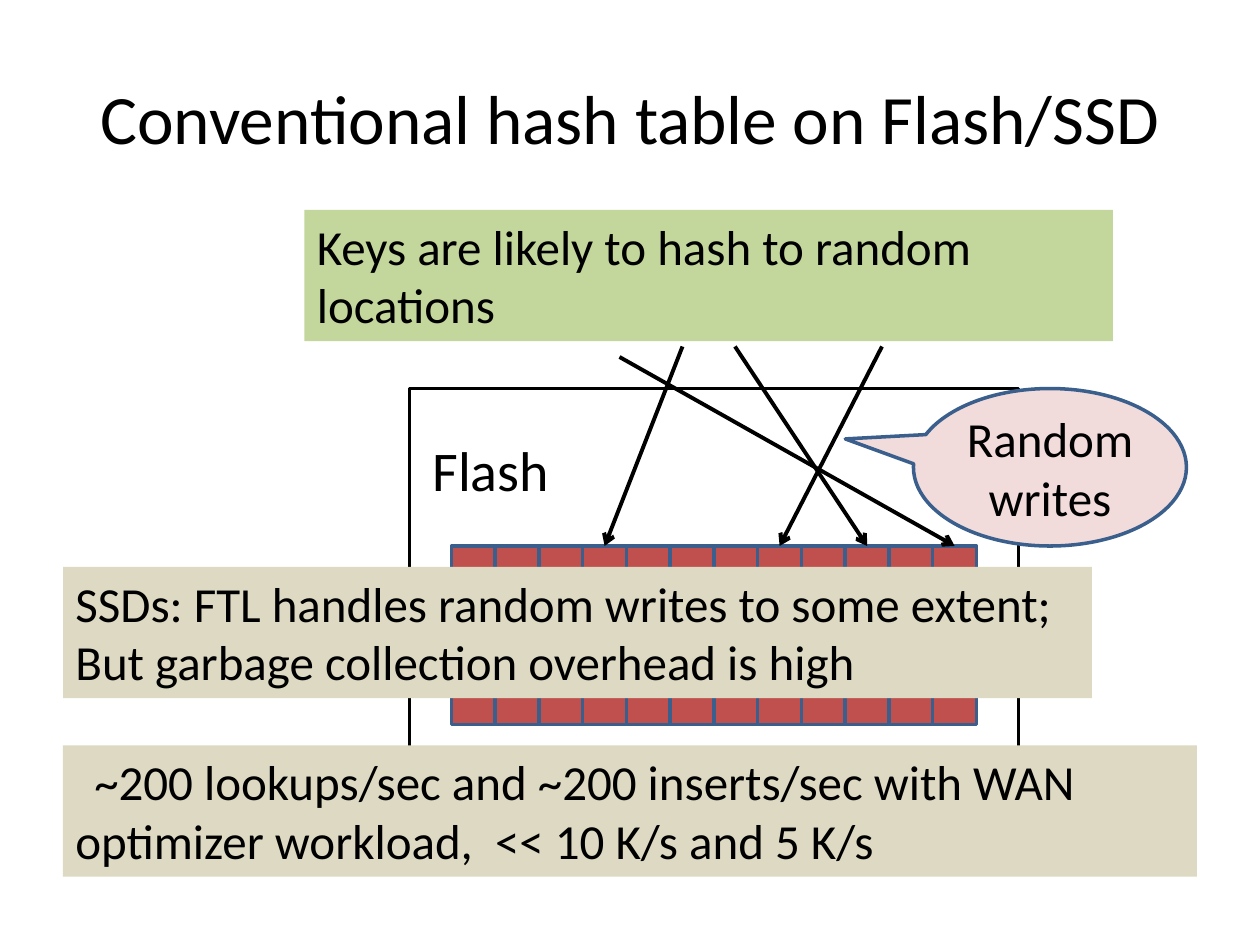
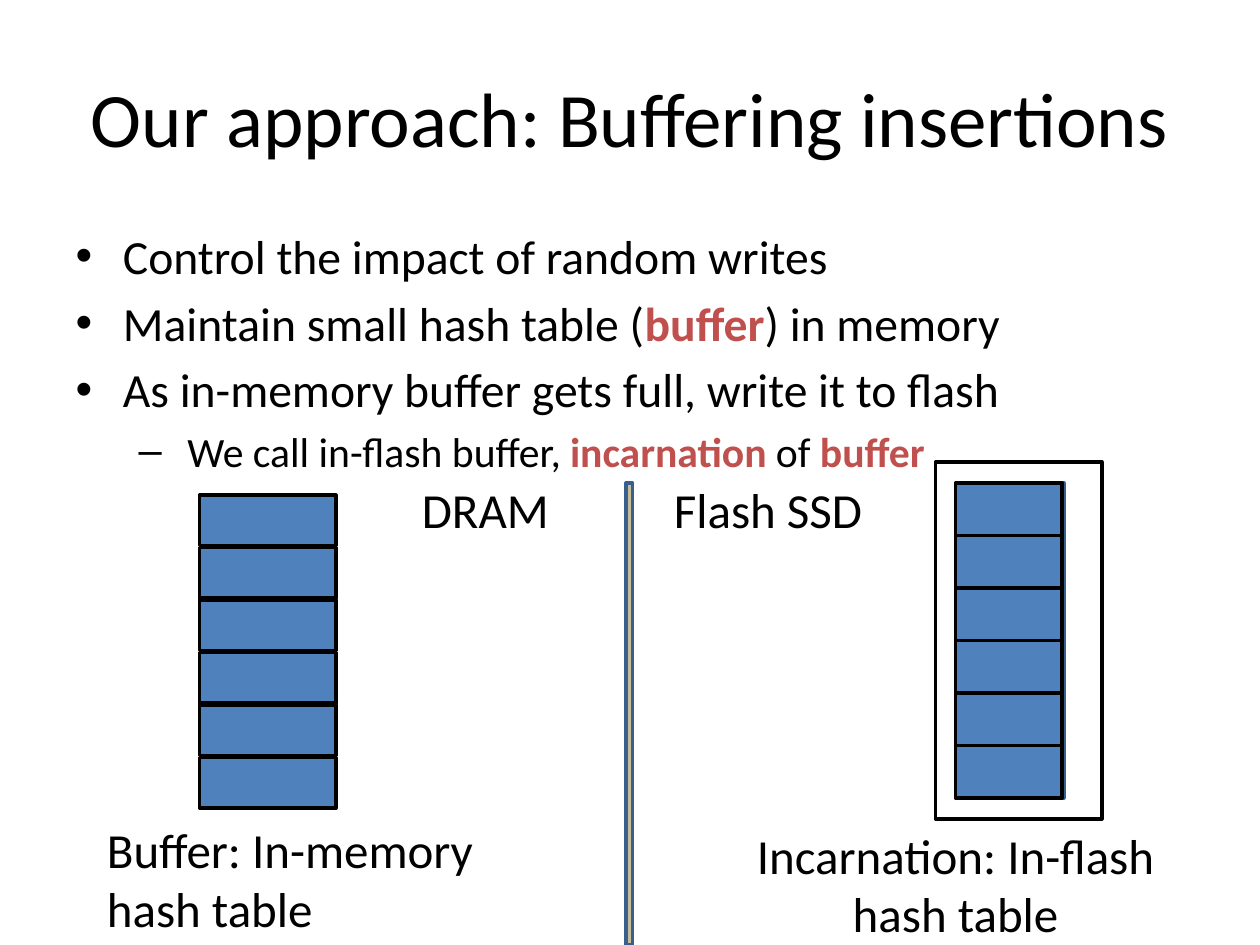
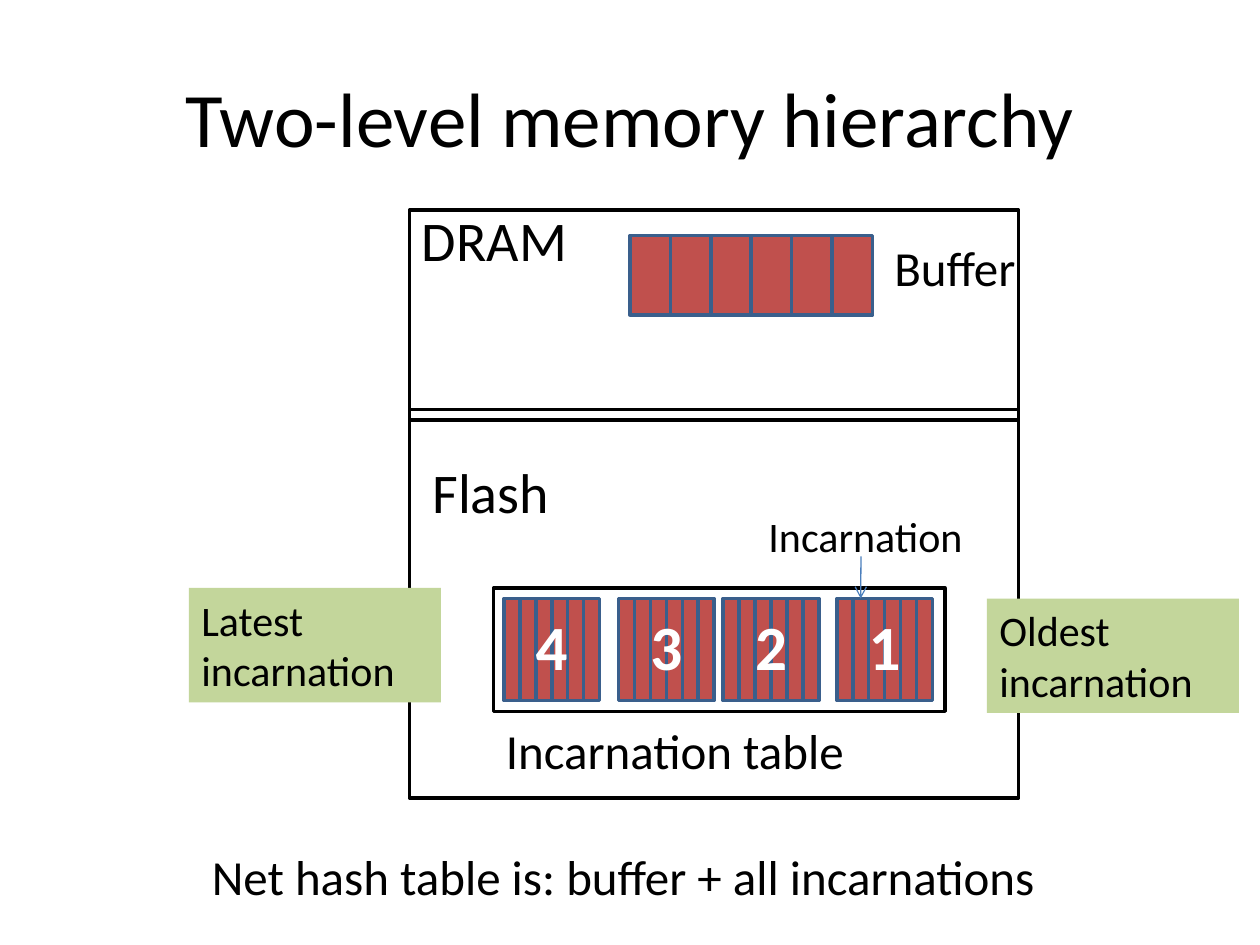
import dataclasses
import typing

import lxml.etree
import pptx
import pptx.dml.color
import pptx.enum.shapes
import pptx.enum.text
import pptx.oxml.ns
import pptx.presentation
import pptx.shapes.autoshape
import pptx.slide
import pptx.text.text
import pptx.util

Pt = pptx.util.Pt
Kind = pptx.enum.shapes.MSO_SHAPE
Align = pptx.enum.text.PP_ALIGN
Anchor = pptx.enum.text.MSO_ANCHOR
Shape = pptx.shapes.autoshape.Shape
Slide = pptx.slide.Slide


@dataclasses.dataclass(frozen=True)
class Theme:
    font: str = "Calibri"
    black: str = "000000"
    white: str = "FFFFFF"
    red: str = "C0504D"
    blue: str = "4F81BD"
    edge: str = "3A5F8C"
    thin: str = "4B7EBC"
    green: str = "C3D69B"
    pink: str = "F2DCDB"
    sand: str = "DDD9C3"
    tan: str = "C4BD97"
    title: float = 44
    long: float = 39.6
    digit: float = 36
    head: float = 32
    text: float = 28
    list: float = 27.2
    note: float = 24
    sub: float = 23.8
    line: float = 2
    arrow: float = 2.25


T = Theme()


class Box(typing.NamedTuple):
    left: float
    top: float
    width: float
    height: float

    def lengths(self) -> list[pptx.util.Length]:
        return [Pt(v) for v in self]


@dataclasses.dataclass(frozen=True)
class Label:
    text: str
    box: Box
    size: float = T.text
    fill: str = ""
    color: str = T.black
    bold: bool = False
    center: bool = False
    middle: bool = False
    indent: float = 0


@dataclasses.dataclass(frozen=True)
class Strip:
    """A row or column of equal cells; box is the first cell."""
    box: Box
    count: int
    step: float
    fill: str = T.red
    line: str = T.edge
    down: bool = False


@dataclasses.dataclass(frozen=True)
class Bullet:
    text: str  # parts between bars are accented
    level: int = 0
    size: float = T.list


def rgb(code: str) -> pptx.dml.color.RGBColor:
    return pptx.dml.color.RGBColor.from_string(code)


def style(run: pptx.text.text._Run, size: float, color: str = T.black,
          bold: bool = False) -> None:
    run.font.name = T.font
    run.font.size = Pt(size)
    run.font.bold = bold
    run.font.color.rgb = rgb(color)


def write(frame: pptx.text.text.TextFrame, label: Label) -> None:
    frame.word_wrap = True
    frame.text = label.text
    frame.vertical_anchor = Anchor.MIDDLE if label.middle else Anchor.TOP
    for para in frame.paragraphs:
        para.alignment = Align.CENTER if label.center else Align.LEFT
        if label.indent:
            para._p.get_or_add_pPr().set("indent", str(Pt(label.indent)))
        for run in para.runs:
            style(run, label.size, label.color, label.bold)


def put(slide: Slide, *labels: Label) -> None:
    for label in labels:
        shape = slide.shapes.add_textbox(*label.box.lengths())
        if label.fill:
            shape.fill.solid()
            shape.fill.fore_color.rgb = rgb(label.fill)
        write(shape.text_frame, label)


def draw(shapes: typing.Any, box: Box, fill: str = "", line: str = T.black,
         kind: Kind = Kind.RECTANGLE) -> Shape:
    shape = shapes.add_shape(kind, *box.lengths())
    shape.shadow.inherit = False
    if fill:
        shape.fill.solid()
        shape.fill.fore_color.rgb = rgb(fill)
    else:
        shape.fill.background()
    shape.line.color.rgb = rgb(line)
    shape.line.width = Pt(T.line)
    return shape


def cells(slide: Slide, strip: Strip) -> list[Shape]:
    group = slide.shapes.add_group_shape()
    made = []
    for i in range(strip.count):
        move = i * strip.step
        left, top, width, height = strip.box
        box = (Box(left, top + move, width, height) if strip.down
               else Box(left + move, top, width, height))
        made.append(draw(group.shapes, box, strip.fill, strip.line))
    return made


def arrow(slide: Slide, left: float, top: float, cell: Shape,
          color: str = T.black, width: float = T.arrow) -> None:
    line = slide.shapes.add_connector(
        pptx.enum.shapes.MSO_CONNECTOR.STRAIGHT,
        Pt(left), Pt(top), Pt(left), Pt(top))
    line.end_connect(cell, 0)
    line.line.color.rgb = rgb(color)
    line.line.width = Pt(width)
    qn = pptx.oxml.ns.qn
    props = line.element.spPr
    lxml.etree.SubElement(props.find(qn("a:ln")), qn("a:tailEnd"), type="arrow")
    lxml.etree.SubElement(props, qn("a:effectLst"))


def start(deck: pptx.presentation.Presentation, title: str,
          size: float = T.title, layout: int = 5) -> Slide:
    slide = deck.slides.add_slide(deck.slide_layouts[layout])
    head = slide.shapes.title
    head.left, head.top, head.width, head.height = Box(36, 21.6, 648, 90).lengths()
    write(head.text_frame, Label(title, Box(36, 21.6, 648, 90), size,
                                 center=True, middle=True))
    head.text_frame.auto_size = pptx.enum.text.MSO_AUTO_SIZE.NONE
    return slide


def fill_list(slide: Slide, box: Box, items: list[Bullet]) -> None:
    body = slide.placeholders[1]
    body.left, body.top, body.width, body.height = box.lengths()
    frame = body.text_frame
    frame.auto_size = pptx.enum.text.MSO_AUTO_SIZE.NONE
    for i, item in enumerate(items):
        para = frame.add_paragraph() if i else frame.paragraphs[0]
        para.level = item.level
        for j, part in enumerate(item.text.split("|")):
            if part:
                run = para.add_run()
                run.text = part
                style(run, item.size, T.red if j % 2 else T.black, bool(j % 2))


def table_slide(deck: pptx.presentation.Presentation) -> None:
    slide = start(deck, "Conventional hash table on Flash/SSD", T.long)
    # Flash store and its slots
    draw(slide.shapes, Box(234, 222, 348, 222))
    put(slide, Label("Flash", Box(240, 245.5, 126, 46), T.head))
    slots = cells(slide, Strip(Box(258, 312, 25, 102), 12, 25))
    # Keys that hash to scattered slots
    for left, top, slot in ((390, 198, 3), (420, 198, 9),
                            (504, 198, 7), (354, 204, 11)):
        arrow(slide, left, top, slots[slot])
    put(slide, Label("Keys are likely to hash to random locations",
                     Box(174, 120, 462, 75), fill=T.green))
    # Callout
    box = Box(522, 222, 156, 90)
    call = draw(slide.shapes, box, T.pink, T.edge, Kind.OVAL_CALLOUT)
    call.adjustments[0], call.adjustments[1] = -0.75, -0.18
    write(call.text_frame, Label("Random writes", box, center=True, middle=True))
    # Findings
    put(slide,
        Label("SSDs: FTL handles random writes to some extent;\v"
              "But garbage collection overhead is high",
              Box(36, 324, 588, 75), fill=T.sand),
        Label("~200 lookups/sec and ~200 inserts/sec with WAN optimizer "
              "workload,  << 10 K/s and 5 K/s",
              Box(36, 426, 648, 75), fill=T.sand, indent=10.8))


def buffer_slide(deck: pptx.presentation.Presentation) -> None:
    slide = start(deck, "Our approach: Buffering insertions", layout=1)
    fill_list(slide, Box(36, 126, 666, 138), [
        Bullet("Control the impact of random writes"),
        Bullet("Maintain small hash table (|buffer|) in memory"),
        Bullet("As in-memory buffer gets full, write it to flash"),
        Bullet(" We call in-flash buffer, |incarnation |of| buffer|", 1, T.sub),
    ])
    # Flash side, then memory side
    draw(slide.shapes, Box(534.6, 264, 95, 204))
    for strip in (
            Strip(Box(547, 276, 61, 30), 6, 30, down=True),
            Strip(Box(546, 276, 61, 30), 6, 30, T.blue, T.black, True),
            Strip(Box(114, 283, 78, 28.8), 6, 30, T.blue, T.black, True)):
        cells(slide, strip)
    # Divider and labels
    draw(slide.shapes, Box(357.8, 276, 3.6, 264), T.tan, T.edge)
    put(slide,
        Label("Incarnation: In-flash hash table", Box(408, 468, 276, 75),
              center=True),
        Label("Buffer: In-memory\nhash table", Box(54, 465, 234, 75)),
        Label("DRAM", Box(234, 270.5, 126, 41)),
        Label("Flash SSD", Box(378, 270.5, 144, 41)))


def level_slide(deck: pptx.presentation.Presentation) -> None:
    slide = start(deck, "Two-level memory hierarchy")
    # Memory levels
    draw(slide.shapes, Box(234, 120, 348, 120))
    draw(slide.shapes, Box(234, 234, 348, 222))
    put(slide,
        Label("DRAM", Box(234, 114, 132, 46), T.head),
        Label("Flash", Box(240, 258, 126, 46), T.head),
        Label("Buffer", Box(504, 132, 102, 41)),
        Label("Incarnation table", Box(282, 408, 264, 41)),
        Label("Incarnation", Box(432, 288, 132, 36), T.note))
    cells(slide, Strip(Box(360, 134.6, 23.1, 45.4), 6, 23.1))
    # Incarnations, latest to oldest
    draw(slide.shapes, Box(282, 336, 258, 70.5))
    for digit, left in zip("4321", (288, 353.5, 413.3, 478.2)):
        row = cells(slide, Strip(Box(left, 342, 9.1, 58.3), 6, 9.1))
        put(slide, Label(digit, Box(left - 11.7, 330, 78, 78), T.digit,
                         color=T.white, bold=True, center=True, middle=True))
    arrow(slide, 492, 318, row[1], T.thin, 0.75)
    # Notes
    put(slide,
        Label("Net hash table is: buffer + all incarnations",
              Box(114, 480, 564, 41)),
        Label("Oldest incarnation", Box(564, 342, 144, 65.4), T.note, T.green),
        Label("Latest incarnation", Box(108, 336, 144, 65.4), T.note, T.green))


def main() -> None:
    deck = pptx.Presentation()
    deck.slide_width, deck.slide_height = Pt(720), Pt(540)
    for build in (table_slide, buffer_slide, level_slide):
        build(deck)
    deck.save("out.pptx")


if __name__ == "__main__":
    main()
